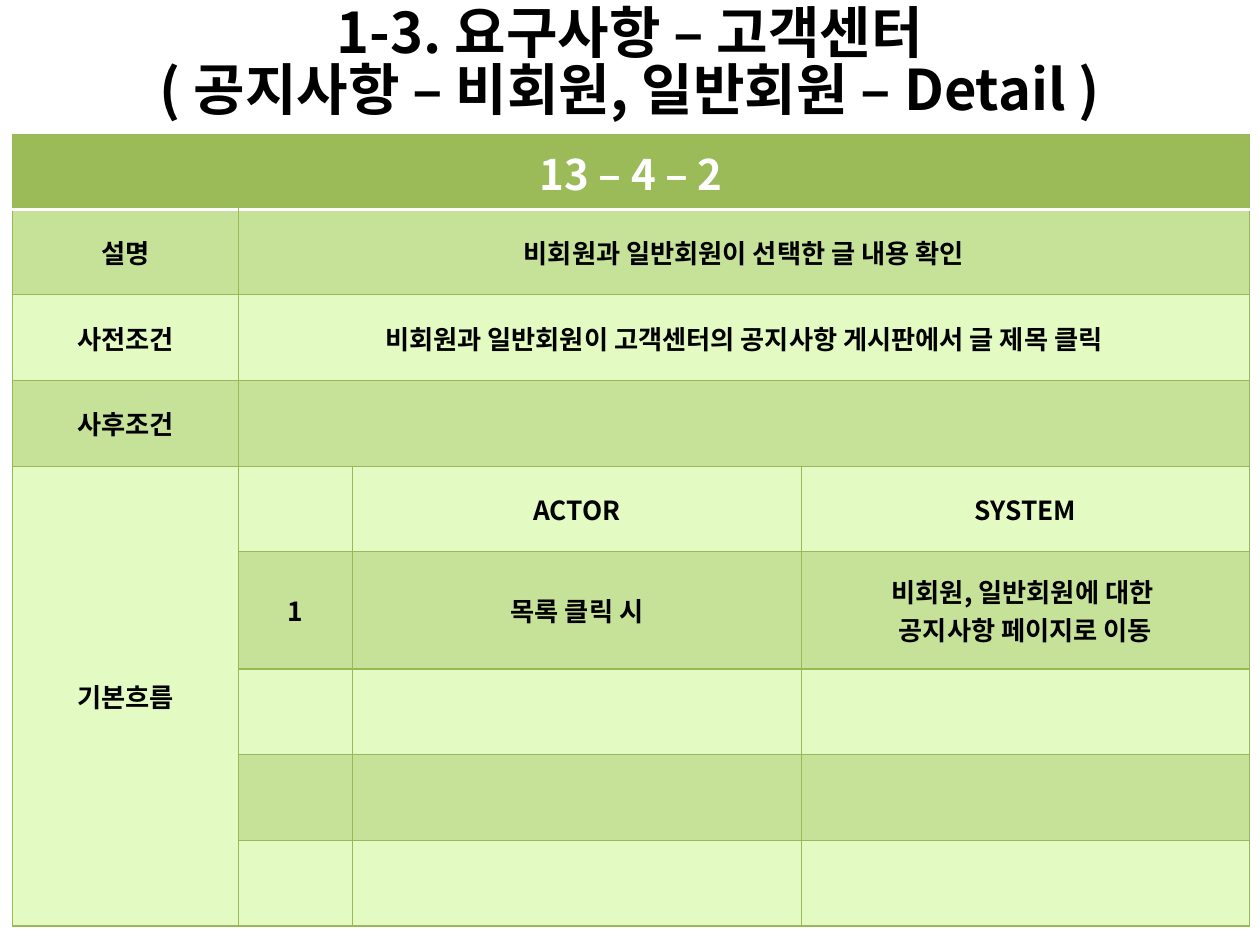
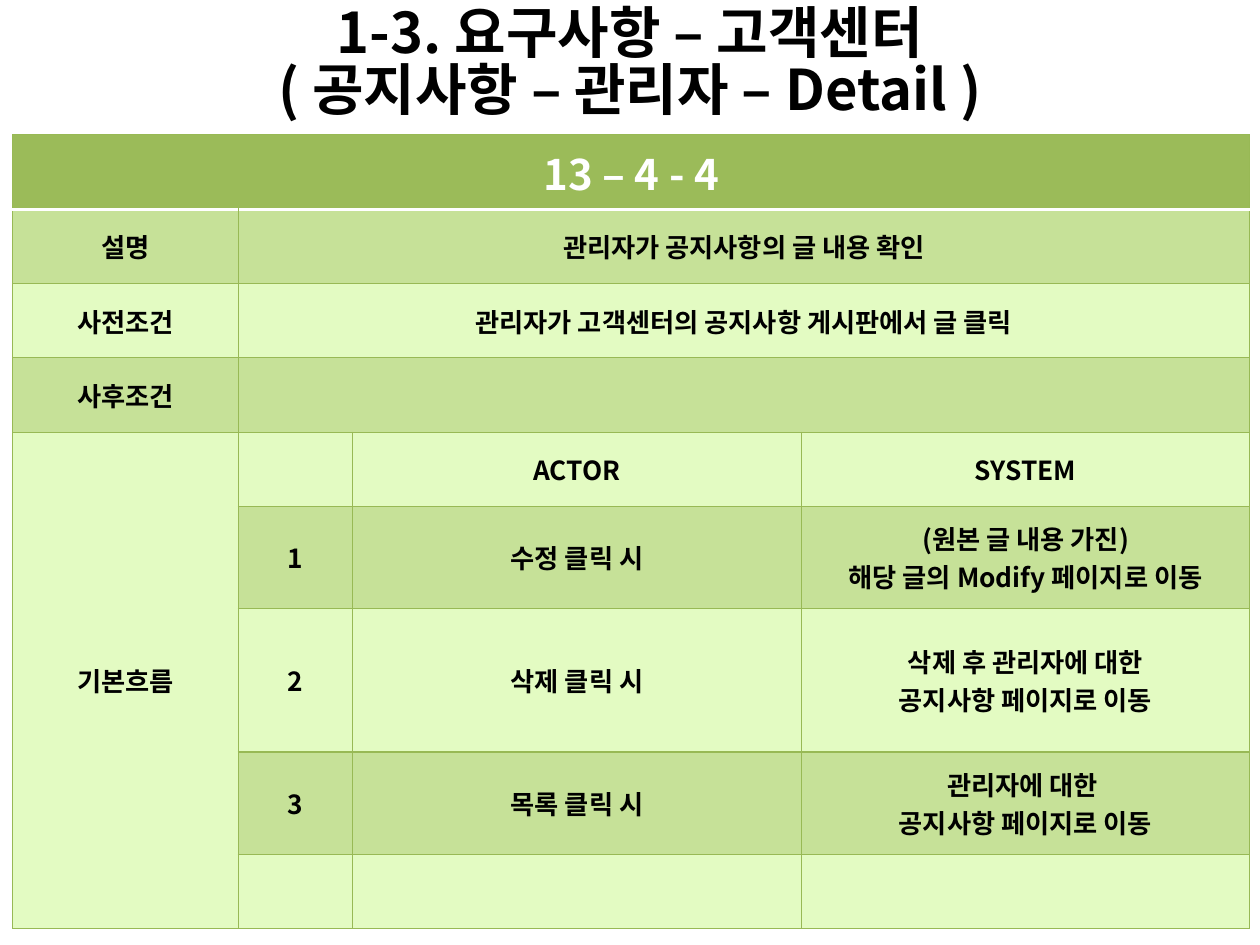
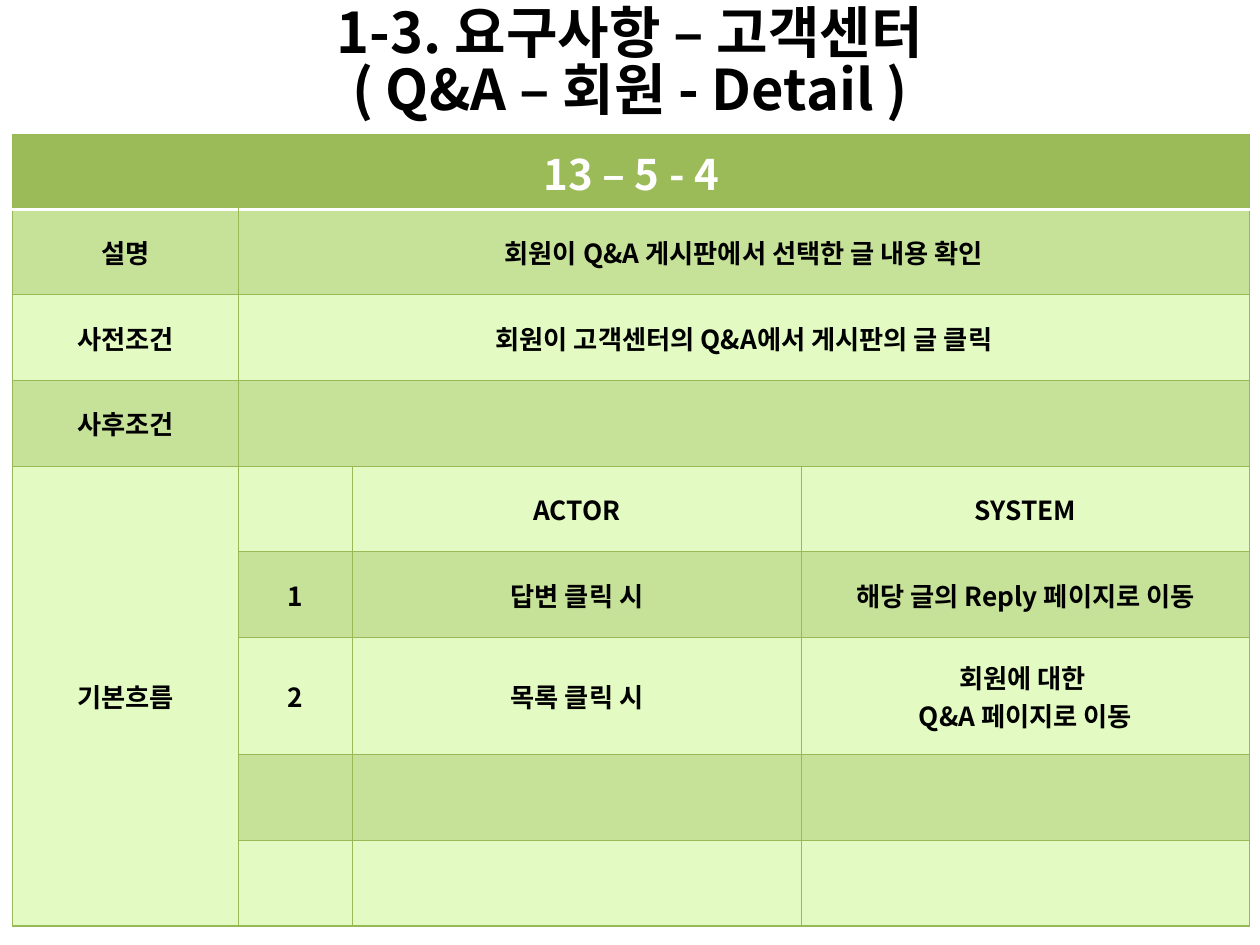
from dataclasses import dataclass

from lxml.etree import SubElement
from pptx import Presentation
from pptx.dml.color import RGBColor
from pptx.enum.text import MSO_ANCHOR, PP_ALIGN
from pptx.oxml.ns import qn
from pptx.util import Inches, Pt

FONT = "Noto Sans CJK KR"
COLORS = {
    "text": "000000",
    "white": "FFFFFF",
    "header": "9BBB59",
    "band": "C6E198",
    "light": "E3FBC2",
    "border": "98B955",
}
COL_WIDTHS = (1.79, 0.91, 3.56, 3.56)
HEADER_HEIGHT = 0.59
STEP_ROWS = 4
FLOW_ROW = 4
CONDITIONS = ("설명", "사전조건", "사후조건")


@dataclass
class Step:
    actor: str
    system: str
    height: float


@dataclass
class UseCase:
    subtitle: str
    number: str
    description: str
    precondition: str
    row_height: float
    steps: list[Step]


USE_CASES = [
    UseCase(
        "( 공지사항 – 비회원, 일반회원 – Detail )",
        "13 – 4 – 2",
        "비회원과 일반회원이 선택한 글 내용 확인",
        "비회원과 일반회원이 고객센터의 공지사항 게시판에서 글 제목 클릭",
        0.68,
        [Step("목록 클릭 시", "비회원, 일반회원에 대한 \n공지사항 페이지로 이동", 0.93)],
    ),
    UseCase(
        "( 공지사항 – 관리자 – Detail )",
        "13 – 4 - 4",
        "관리자가 공지사항의 글 내용 확인",
        "관리자가 고객센터의 공지사항 게시판에서 글 클릭",
        0.59,
        [
            Step("수정 클릭 시", "(원본 글 내용 가진)\n해당 글의 Modify 페이지로 이동", 0.81),
            Step("삭제 클릭 시", "삭제 후 관리자에 대한\n공지사항 페이지로 이동", 1.14),
            Step("목록 클릭 시", "관리자에 대한 \n공지사항 페이지로 이동", 0.81),
        ],
    ),
    UseCase(
        "( Q&A – 회원 - Detail )",
        "13 – 5 - 4",
        "회원이 Q&A 게시판에서 선택한 글 내용 확인",
        "회원이 고객센터의 Q&A에서 게시판의 글 클릭",
        0.68,
        [
            Step("답변 클릭 시", "해당 글의 Reply 페이지로 이동", 0.68),
            Step("목록 클릭 시", "회원에 대한 \nQ&A 페이지로 이동", 0.93),
        ],
    ),
]


def write(tf, text: str, *, size: float = 15, color: str = "text", spacing: float = 1.0) -> None:
    for i, line in enumerate(text.split("\n")):
        p = tf.add_paragraph() if i else tf.paragraphs[0]
        p.text = line
        p.alignment = PP_ALIGN.CENTER
        p.line_spacing = spacing
        for r in p.runs:
            r.font.size = Pt(size)
            r.font.bold = True
            r.font.name = FONT
            r.font.color.rgb = RGBColor.from_string(COLORS[color])
            SubElement(r.font._element, qn("a:ea"), typeface=FONT)


def add_border(cell, side: str, color: str, width: float) -> None:
    ln = SubElement(cell._tc.get_or_add_tcPr(), qn(f"a:ln{side}"), w=str(Pt(width)))
    fill = SubElement(ln, qn("a:solidFill"))
    SubElement(fill, qn("a:srgbClr"), val=COLORS[color])


def style_cell(cell, row: int) -> None:
    for side in "LRTB":
        under_header = (row, side) in ((0, "B"), (1, "T"))
        add_border(cell, side, *(("white", 2) if under_header else ("border", 0.75)))
    fill = "header" if row == 0 else "band" if row % 2 else "light"
    cell.fill.solid()
    cell.fill.fore_color.rgb = RGBColor.from_string(COLORS[fill])
    cell.vertical_anchor = MSO_ANCHOR.MIDDLE


def add_title(s, subtitle: str) -> None:
    tf = s.shapes.add_textbox(Inches(0.5), Inches(-0.11), Inches(9), Inches(1.25)).text_frame
    tf.word_wrap = True
    tf.vertical_anchor = MSO_ANCHOR.MIDDLE
    write(tf, f"1-3. 요구사항 – 고객센터\v{subtitle}", size=32, spacing=0.84)


def add_use_case_table(s, case: UseCase) -> None:
    spare = STEP_ROWS - len(case.steps)
    heights = [HEADER_HEIGHT] + [case.row_height] * FLOW_ROW
    heights += [step.height for step in case.steps] + [case.row_height] * spare
    table = s.shapes.add_table(
        len(heights), len(COL_WIDTHS), Inches(0.1), Inches(1.07),
        Inches(sum(COL_WIDTHS)), Inches(sum(heights)),
    ).table
    table.first_row = table.horz_banding = False
    for column, width in zip(table.columns, COL_WIDTHS):
        column.width = Inches(width)
    for i, height in enumerate(heights):
        table.rows[i].height = Inches(height)
        for cell in table.rows[i].cells:
            style_cell(cell, i)

    last_row, last_col = len(heights) - 1, len(COL_WIDTHS) - 1
    table.cell(0, 0).merge(table.cell(0, last_col))
    write(table.cell(0, 0).text_frame, case.number, size=24, color="white")
    details = (case.description, case.precondition, "")
    for i, (label, detail) in enumerate(zip(CONDITIONS, details), start=1):
        table.cell(i, 1).merge(table.cell(i, last_col))
        write(table.cell(i, 0).text_frame, label)
        write(table.cell(i, 1).text_frame, detail)
    table.cell(FLOW_ROW, 0).merge(table.cell(last_row, 0))
    write(table.cell(FLOW_ROW, 0).text_frame, "기본흐름")
    flow = [("", "ACTOR", "SYSTEM")]
    flow += [(str(n), step.actor, step.system) for n, step in enumerate(case.steps, start=1)]
    for i, values in enumerate(flow, start=FLOW_ROW):
        for j, value in enumerate(values, start=1):
            write(table.cell(i, j).text_frame, value)


def main() -> None:
    prs = Presentation()
    prs.slide_width, prs.slide_height = Inches(10), Inches(7.5)
    for case in USE_CASES:
        s = prs.slides.add_slide(prs.slide_layouts[6])
        add_title(s, case.subtitle)
        add_use_case_table(s, case)
    prs.save("out.pptx")


if __name__ == "__main__":
    main()
